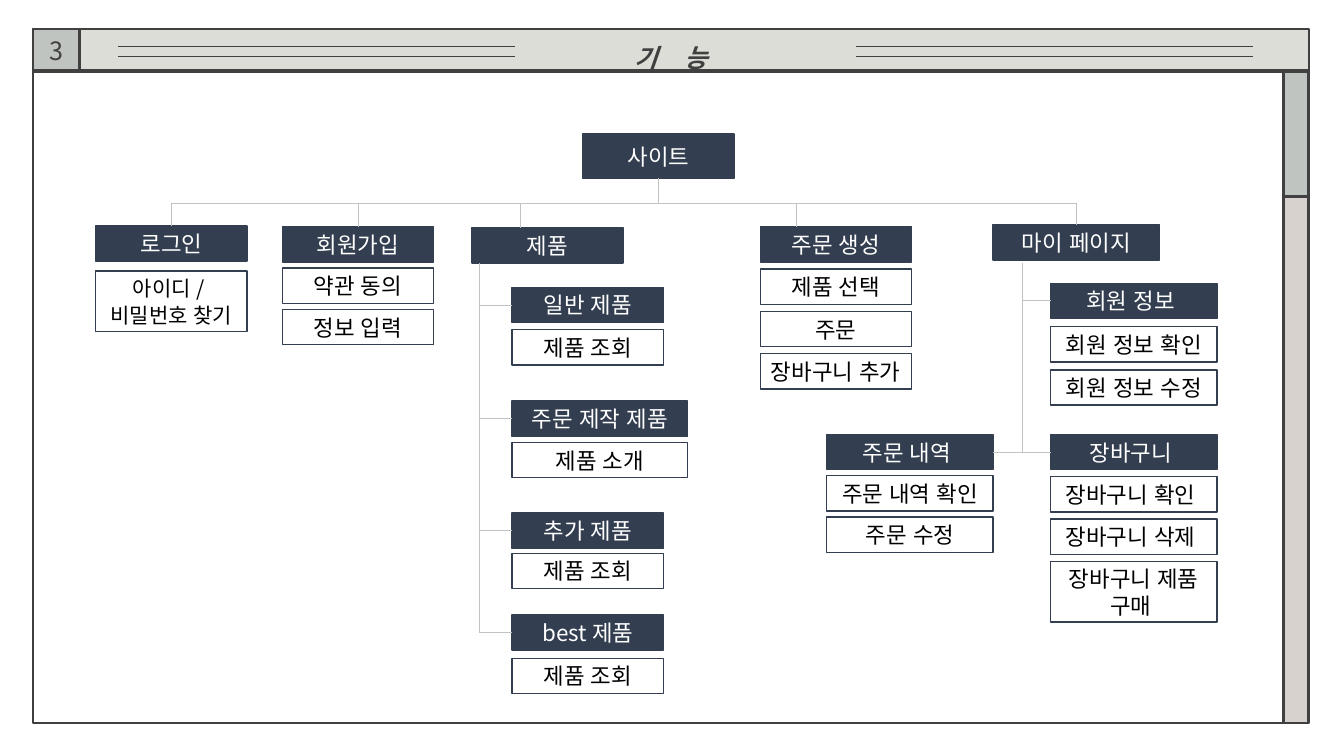
from dataclasses import dataclass

from lxml.etree import SubElement
from pptx import Presentation
from pptx.dml.color import RGBColor
from pptx.enum.lang import MSO_LANGUAGE_ID
from pptx.enum.shapes import MSO_CONNECTOR, MSO_SHAPE
from pptx.enum.text import MSO_ANCHOR, MSO_AUTO_SIZE, PP_ALIGN
from pptx.oxml.ns import qn
from pptx.util import Inches, Pt

TOP, LEFT, BOTTOM, RIGHT = range(4)
BOX_HEIGHT = 0.35


@dataclass(frozen=True)
class Theme:
    font: str = "Noto Sans CJK KR"
    ink: str = "404040"
    navy: str = "333F50"
    white: str = "FFFFFF"
    black: str = "000000"
    bar: str = "DDDDD8"
    gray: str = "C0C4C1"
    beige: str = "D7D2CE"
    title_size: int = 18
    box_size: int = 16
    small_size: int = 15


THEME = Theme()


@dataclass(frozen=True)
class Group:
    """A dark heading box with light item boxes stacked below it."""
    heading: str
    left: float
    top: float
    width: float = 1.5
    pitch: float = 0.42
    items: tuple = ()
    last_height: float = BOX_HEIGHT
    item_size: int = THEME.box_size


LOGIN = Group("로그인", 0.95, 2.24, pitch=0.45, items=("아이디 / \n비밀번호 찾기",),
              last_height=0.6, item_size=THEME.small_size)
SIGN_UP = Group("회원가입", 2.8, 2.25, pitch=0.41, items=("약관 동의", "정보 입력"))
PRODUCT = Group("제품", 4.68, 2.26)
ORDER = Group("주문 생성", 7.54, 2.25, items=("제품 선택", "주문", "장바구니 추가"))
MY_PAGE = Group("마이 페이지", 9.85, 2.23, 1.65)
PRODUCT_KINDS = (
    Group("일반 제품", 5.08, 2.85, items=("제품 조회",)),
    Group("주문 제작 제품", 5.08, 3.98, 1.74, 0.41, ("제품 소개",)),
    Group("추가 제품", 5.08, 5.09, pitch=0.4, items=("제품 조회",)),
    Group("best 제품", 5.08, 6.1, pitch=0.43, items=("제품 조회",)),
)
MEMBER = Group("회원 정보 ", 10.42, 2.81, 1.65, 0.43, ("회원 정보 확인", "회원 정보 수정"))
CART = Group("장바구니 ", 10.42, 4.31, 1.65,
             items=("장바구니 확인 ", "장바구니 삭제 ", "장바구니 제품 구매 "), last_height=0.6)
HISTORY = Group("주문 내역 ", 8.2, 4.31, 1.65, 0.41, ("주문 내역 확인", "주문 수정"))


def color(value):
    return RGBColor.from_string(value)


def paint(shape, fill, line, width):
    if fill:
        shape.fill.solid()
        shape.fill.fore_color.rgb = color(fill)
    else:
        shape.fill.background()
    shape.line.color.rgb = color(line)
    shape.line.width = Pt(width)


def write(shape, text, size, ink, bold=False, italic=False):
    frame = shape.text_frame
    frame.text = text
    frame.word_wrap = True
    frame.auto_size = MSO_AUTO_SIZE.NONE
    frame.vertical_anchor = MSO_ANCHOR.MIDDLE
    for paragraph in frame.paragraphs:
        paragraph.alignment = PP_ALIGN.CENTER
        for run in paragraph.runs:
            font = run.font
            font.name, font.size = THEME.font, Pt(size)
            font.bold, font.italic = bold, italic
            font.color.rgb = color(ink)
            font.language_id = MSO_LANGUAGE_ID.KOREAN
            SubElement(run._r.get_or_add_rPr(), qn("a:ea"), typeface=THEME.font)


def add_rectangle(slide, left, top, width, height, fill, line=THEME.ink, line_width=1.5):
    shape = slide.shapes.add_shape(MSO_SHAPE.RECTANGLE, Inches(left), Inches(top),
                                   Inches(width), Inches(height))
    shape.shadow.inherit = False
    paint(shape, fill, line, line_width)
    return shape


def add_box(slide, text, left, top, width, height, dark, size=THEME.box_size):
    box = add_rectangle(slide, left, top, width, height,
                        THEME.navy if dark else None, THEME.navy, 1)
    frame = box.text_frame
    frame.margin_left = frame.margin_right = Inches(0.04)
    frame.margin_top = frame.margin_bottom = Inches(0.03)
    write(box, text, size, THEME.white if dark else THEME.black)
    for paragraph in frame.paragraphs[:-1]:
        paragraph.space_after = Pt(1)
    return box


def add_group(slide, group):
    """Draw the group and return its heading box."""
    heading = add_box(slide, group.heading, group.left, group.top, group.width,
                      BOX_HEIGHT, True)
    for number, item in enumerate(group.items, 1):
        height = group.last_height if number == len(group.items) else BOX_HEIGHT
        add_box(slide, item, group.left, group.top + number * group.pitch,
                group.width, height, False, group.item_size)
    return heading


def add_line(slide, x1, y1, x2, y2, ink=THEME.gray, width=0.5):
    line = slide.shapes.add_connector(MSO_CONNECTOR.STRAIGHT, Inches(x1), Inches(y1),
                                      Inches(x2), Inches(y2))
    line.line.color.rgb = color(ink)
    line.line.width = Pt(width)
    SubElement(line._element.spPr, qn("a:effectLst"))
    return line


def add_branch(slide, trunk_x, group, side=LEFT):
    """Draw a group and join the side of its heading to a vertical trunk."""
    heading = add_group(slide, group)
    middle = group.top + BOX_HEIGHT / 2
    edge = group.left if side == LEFT else group.left + group.width
    add_line(slide, trunk_x, middle, edge, middle).end_connect(heading, side)


def add_frame(slide):
    title = slide.shapes.title
    title.left, title.top = Inches(0.33), Inches(0.29)
    title.width, title.height = Inches(12.65), Inches(0.41)
    paint(title, THEME.bar, THEME.ink, 1.5)
    write(title, "기\t능", THEME.title_size, THEME.ink, bold=True, italic=True)
    title.text_frame.paragraphs[0].line_spacing = 1.5

    number = add_rectangle(slide, 0.33, 0.29, 0.46, 0.41, THEME.gray)
    write(number, "3", THEME.title_size, THEME.ink)
    add_rectangle(slide, 0.33, 0.71, 12.65, 6.46, THEME.white)
    add_rectangle(slide, 12.73, 0.71, 0.24, 6.46, THEME.beige)
    add_rectangle(slide, 12.73, 0.71, 0.24, 1.24, THEME.gray)
    for left in (1.17, 8.49):
        for y in (0.46, 0.56):
            add_line(slide, left, y, left + 3.94, y, THEME.ink, 1)


def add_site_map(slide):
    rail_y = 2.02
    site = add_box(slide, "사이트", 5.78, 1.33, 1.5, 0.44, True)
    add_line(slide, 6.53, 1.77, 6.53, rail_y).begin_connect(site, BOTTOM)
    add_line(slide, 1.7, rail_y, 10.68, rail_y)

    for group in (LOGIN, SIGN_UP, MY_PAGE):
        heading = add_group(slide, group)
        middle = group.left + group.width / 2
        add_line(slide, middle, rail_y, middle, group.top).end_connect(heading, TOP)
    for group, drop_x in ((PRODUCT, 5.16), (ORDER, 7.9)):
        add_group(slide, group)
        add_line(slide, drop_x, rail_y, drop_x, group.top)

    product_x, my_page_x = 4.75, 10.14
    add_line(slide, product_x, 2.61, product_x, 6.28)
    for group in PRODUCT_KINDS:
        add_branch(slide, product_x, group)
    add_line(slide, my_page_x, 2.61, my_page_x, 4.49)
    for group in (MEMBER, CART):
        add_branch(slide, my_page_x, group)
    add_branch(slide, my_page_x, HISTORY, RIGHT)


def main():
    presentation = Presentation()
    presentation.slide_width = Inches(13.33)
    presentation.slide_height = Inches(7.5)
    slide = presentation.slides.add_slide(presentation.slide_layouts[5])
    add_frame(slide)
    add_site_map(slide)
    presentation.save("out.pptx")


if __name__ == "__main__":
    main()
